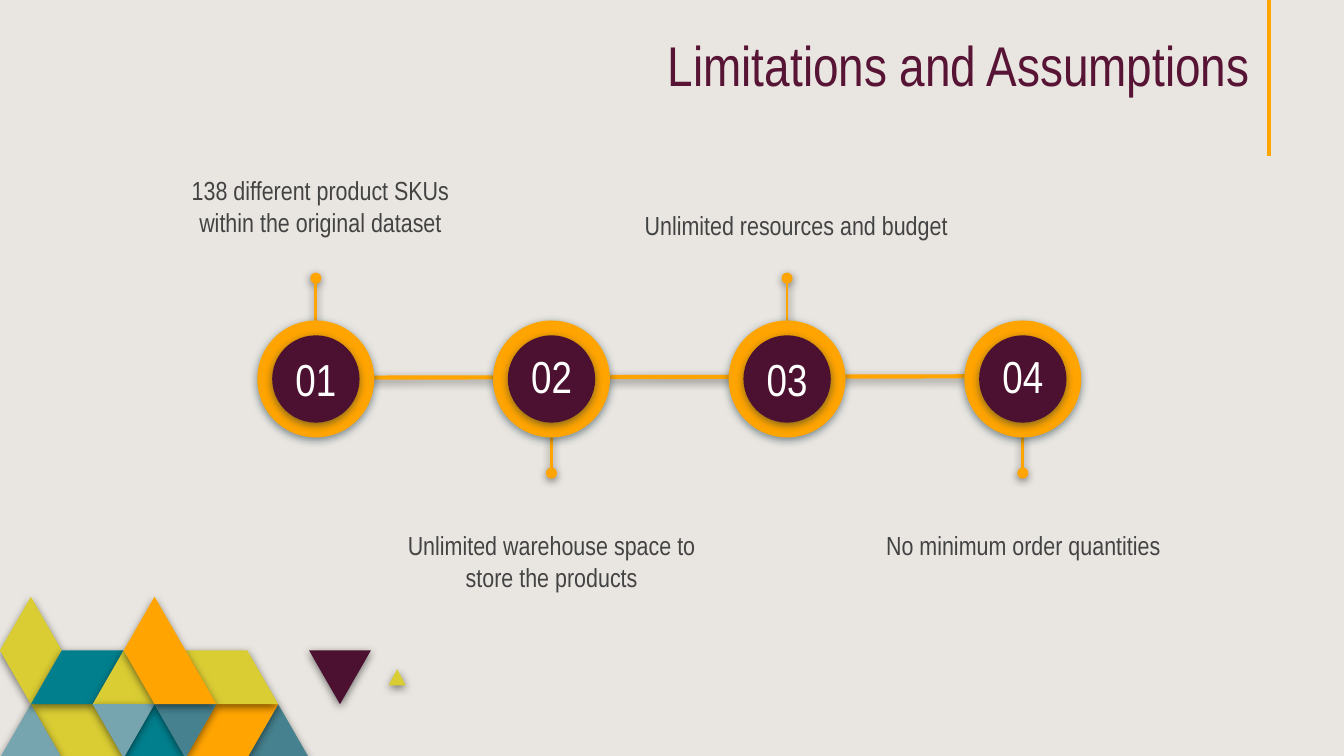
from dataclasses import dataclass

from lxml.etree import SubElement
from pptx import Presentation
from pptx.dml.color import RGBColor as RGB
from pptx.enum.shapes import MSO_CONNECTOR as LINE, MSO_SHAPE as SHAPE
from pptx.enum.text import MSO_ANCHOR as ANCHOR, MSO_AUTO_SIZE as AUTO, PP_ALIGN as ALIGN
from pptx.oxml.ns import qn
from pptx.util import Inches, Pt


@dataclass(frozen=True)
class Theme:
    font: str = "Arial Narrow"
    paper: str = "E9E6E1"
    heading: str = "571435"
    body: str = "434343"
    white: str = "FFFFFF"
    black: str = "000000"
    ring_shadow: str = "0C2E3A"
    orange: str = "FFA400"
    plum: str = "4C1130"
    lime: str = "DACC33"
    teal: str = "027F8D"
    mist: str = "76A5AF"
    slate: str = "45818E"
    title_size: int = 30
    number_size: int = 24
    body_size: int = 14


theme = Theme()


def write(frame, text, *, size, color, align=ALIGN.CENTER, anchor=ANCHOR.TOP, after=0):
    frame.word_wrap = True
    frame.auto_size = AUTO.NONE
    frame.vertical_anchor = anchor
    frame.margin_left = frame.margin_right = Inches(0.1)
    frame.margin_top = frame.margin_bottom = Inches(0.1)
    paragraph = frame.paragraphs[0]
    paragraph.alignment = align
    paragraph.space_before = Pt(0)
    paragraph.space_after = Pt(after)
    run = paragraph.add_run()
    run.text = text
    run.font.name = theme.font
    run.font.size = Pt(size)
    run.font.color.rgb = RGB.from_string(color)


def paint(item, color, *, width=None, shadow=theme.black, dot=False):
    """Colour a line (when width is given) or a filled shape, then its shadow."""
    if width:
        item.line.color.rgb = RGB.from_string(color)
        item.line.width = Pt(width)
    else:
        item.fill.solid()
        item.fill.fore_color.rgb = RGB.from_string(color)
        item.line.fill.background()
    properties = item.element.spPr
    if dot:
        SubElement(properties.find(qn("a:ln")), qn("a:tailEnd"), type="oval")
    effects = SubElement(properties, qn("a:effectLst"))
    if shadow:
        outer = SubElement(effects, qn("a:outerShdw"), blurRad=str(Pt(4.5)), dist=str(Pt(1.5)),
                           dir="5400000", algn="bl", rotWithShape="0")
        tint = SubElement(outer, qn("a:srgbClr"), val=shadow)
        SubElement(tint, qn("a:alpha"), val="50000")


deck = Presentation()
deck.slide_width = Inches(10)
deck.slide_height = deck.slide_width * 9 // 16
slide = deck.slides.add_slide(deck.slide_layouts[5])
slide.background.fill.solid()
slide.background.fill.fore_color.rgb = RGB.from_string(theme.paper)
shapes = slide.shapes

# Corner mosaic: (column, row) points on a triangular grid
COLUMN, ROW, MOSAIC_TOP = 0.23, 0.4, 4.44
tiles = [
    (theme.slate, [(10, 3), (9, 2), (8, 3)]),
    (theme.orange, [(9, 2), (7, 2), (6, 3), (8, 3)]),
    (theme.lime, [(4, 3), (3, 2), (1, 2), (2, 3)]),
    (theme.mist, [(2, 3), (1, 2), (0, 3)]),
    (theme.teal, [(6, 3), (5, 2), (4, 3)]),
    (theme.lime, [(9, 2), (8, 1), (6, 1), (7, 2)]),
    (theme.lime, [(13.13, 1.65), (12.85, 1.35), (12.57, 1.65)]),
    (theme.plum, [(12, 1), (10, 1), (11, 2)]),
    (theme.lime, [(2, 1), (1, 0), (0, 1), (1, 2)]),
    (theme.teal, [(4, 1), (2, 1), (1, 2), (3, 2)]),
    (theme.lime, [(5, 2), (4, 1), (3, 2)]),
    (theme.mist, [(5, 2), (3, 2), (4, 3)]),
    (theme.slate, [(7, 2), (5, 2), (6, 3)]),
    (theme.orange, [(7, 2), (5, 0), (4, 1), (5, 2)]),
]
for color, corners in tiles:
    points = [(Inches(COLUMN * col), Inches(MOSAIC_TOP + ROW * row)) for col, row in corners]
    outline = shapes.build_freeform(*points[0])
    outline.add_line_segments(points[1:], close=True)
    paint(outline.convert_to_shape(), color)

# Title with its accent line
title = shapes.title
title.left, title.top = Inches(0.55), Inches(0.2)
title.width, title.height = Inches(8.85), Inches(0.63)
write(title.text_frame, "Limitations and Assumptions", size=theme.title_size,
      color=theme.heading, align=ALIGN.RIGHT, anchor=ANCHOR.BOTTOM)
accent = shapes.add_connector(LINE.STRAIGHT, Inches(9.44), 0, Inches(9.44), Inches(1.16))
paint(accent, theme.orange, width=2.25, shadow=None)

# Chain of numbered circles
spine = shapes.add_connector(LINE.STRAIGHT, Inches(2.74), Inches(2.81), Inches(7.22), Inches(2.8))
paint(spine, theme.orange, width=2.25)

FIRST_CENTER, LAST_CENTER, MIDDLE = 2.35, 7.61, 2.82
assumptions = [  # text, left, top, width
    ("138 different product SKUs within the original dataset", 1.11, 1.2, 2.55),
    ("Unlimited warehouse space to store the products", 2.81, 3.84, 2.59),
    ("Unlimited resources and budget", 4.43, 1.46, 2.99),
    ("No minimum order quantities", 6.25, 3.84, 2.73),
]
step = (LAST_CENTER - FIRST_CENTER) / (len(assumptions) - 1)
for index, (statement, left, top, width) in enumerate(assumptions):
    center = FIRST_CENTER + step * index
    upward = index % 2 == 0
    stem_start, stem_end = (2.49, 2.07) if upward else (3.14, 3.52)
    stem = shapes.add_connector(LINE.STRAIGHT, Inches(center), Inches(stem_start),
                                Inches(center), Inches(stem_end))
    paint(stem, theme.orange, width=1.5, dot=True)

    for diameter, color in ((0.87, theme.orange), (0.65, theme.plum)):
        disc = shapes.add_shape(SHAPE.OVAL, Inches(center - diameter / 2),
                                Inches(MIDDLE - diameter / 2), Inches(diameter), Inches(diameter))
        paint(disc, color, shadow=theme.ring_shadow)

    number = shapes.add_textbox(Inches(center - 0.39), Inches(2.57 if upward else 2.55),
                                Inches(0.78), Inches(0.49))
    write(number.text_frame, f"{index + 1:02}", size=theme.number_size,
          color=theme.white, anchor=ANCHOR.MIDDLE)

    caption = shapes.add_textbox(Inches(left), Inches(top), Inches(width), Inches(0.75))
    write(caption.text_frame, statement, size=theme.body_size, color=theme.body, after=16)

deck.save("out.pptx")
